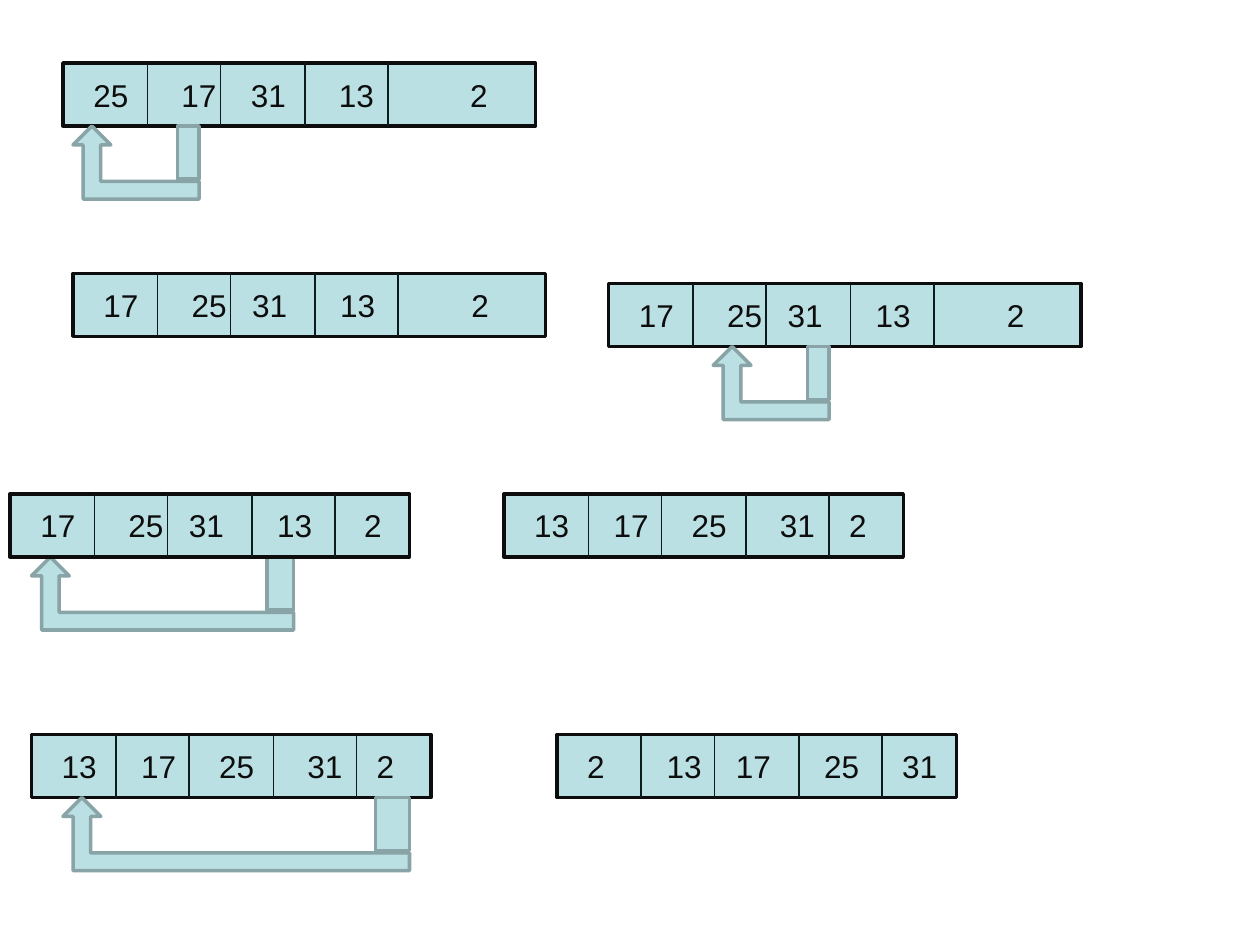
from lxml.etree import SubElement
from pptx import Presentation
from pptx.dml.color import RGBColor
from pptx.enum.shapes import MSO_CONNECTOR, MSO_SHAPE
from pptx.enum.text import MSO_ANCHOR, PP_ALIGN
from pptx.oxml.ns import qn
from pptx.util import Inches, Pt

CELL_FILL = "BBE0E3"
BOX_LINE = "0D0D0D"
DIVIDER_LINE = "0C1C1D"
ARROW_LINE = "89A4A7"
ROW_HEIGHT = 0.5
DIVIDERS = (0.67, 1.25, 1.92, 2.58)
WIDE, NARROW = 3.75, 3.17


def color(value):
    """Turn a hex string into a colour."""
    return RGBColor.from_string(value)


def style(shape, line):
    """Give a shape the common fill, a 2 pt line and no shadow."""
    shape.shadow.inherit = False
    shape.fill.solid()
    shape.fill.fore_color.rgb = color(CELL_FILL)
    shape.line.color.rgb = color(line)
    shape.line.width = Pt(2)


def add_rectangle(slide, left, top, width, height, line):
    """Add a filled rectangle."""
    shape = slide.shapes.add_shape(
        MSO_SHAPE.RECTANGLE, Inches(left), Inches(top), Inches(width), Inches(height))
    style(shape, line)
    return shape


def write_text(shape, text, size=18, font="Arial", ink=BOX_LINE, margin=0.24, tabs=()):
    """Write one left-aligned line of text with tab stops in a shape."""
    frame = shape.text_frame
    frame.word_wrap = True
    frame.vertical_anchor = MSO_ANCHOR.MIDDLE
    frame.margin_left = Inches(margin)
    paragraph = frame.paragraphs[0]
    paragraph.alignment = PP_ALIGN.LEFT
    tab_list = SubElement(paragraph._p.get_or_add_pPr(), qn("a:tabLst"))
    for position in tabs:
        SubElement(tab_list, qn("a:tab"), pos=str(Inches(position)), algn="l")
    paragraph.text = text
    paragraph.font.size = Pt(size)
    paragraph.font.name = font
    paragraph.font.color.rgb = color(ink)


def add_divider(slide, x, top):
    """Add a thin upright line between two cells."""
    line = slide.shapes.add_connector(
        MSO_CONNECTOR.STRAIGHT, Inches(x), Inches(top), Inches(x), Inches(top + ROW_HEIGHT))
    line.line.color.rgb = color(DIVIDER_LINE)
    line.line.width = Pt(1)
    SubElement(line._element.spPr, qn("a:effectLst"))


def add_array(slide, left, top, width, numbers, tabs):
    """Add an array of five numbers in divided cells."""
    box = add_rectangle(slide, left, top, width, ROW_HEIGHT, BOX_LINE)
    write_text(box, "\t".join(str(number) for number in numbers), tabs=tabs)
    for offset in DIVIDERS:
        add_divider(slide, left + offset, top)


def add_move(slide, tip, right, top, stub_width):
    """Add a bent arrow from a number back to its insertion place."""
    head, shaft = 0.15, 0.07
    inner, bottom = top + 0.44, top + 0.58
    points = [
        (right, inner), (tip + shaft, inner), (tip + shaft, top + head),
        (tip + head, top + head), (tip, top), (tip - head, top + head),
        (tip - shaft, top + head), (tip - shaft, bottom), (right, bottom)]
    corners = [(Inches(x), Inches(y)) for x, y in points]
    builder = slide.shapes.build_freeform(*corners[0])
    builder.add_line_segments(corners[1:], close=True)
    style(builder.convert_to_shape(), ARROW_LINE)
    add_rectangle(slide, right - stub_width, top, stub_width, 0.42, ARROW_LINE)


def main():
    """Build the insertion sort slide."""
    presentation = Presentation()
    presentation.slide_width = Inches(10)
    presentation.slide_height = Inches(7.5)
    slide = presentation.slides.add_slide(presentation.slide_layouts[6])

    second_tabs = (0.7, 1.18, 1.88, 2.92)
    fourth_tabs = (0.63, 1.25, 1.95, 2.5)
    second_pass = (17, 25, 31, 13, 2)
    fourth_pass = (13, 17, 25, 31, 2)

    add_array(slide, 0.5, 0.5, WIDE, (25, 17, 31, 13, 2), (0.7, 1.25, 1.95, 2.99))
    add_move(slide, 0.73, 1.58, 1, 0.17)
    add_array(slide, 0.58, 2.17, WIDE, second_pass, second_tabs)
    add_move(slide, 0.4, 2.33, 4.42, 0.21)
    add_array(slide, 4.83, 2.25, WIDE, second_pass, second_tabs)
    add_move(slide, 5.81, 6.58, 2.75, 0.17)
    add_array(slide, 0.08, 3.92, NARROW, second_pass, (0.7, 1.18, 1.88, 2.57))
    add_array(slide, 4, 3.92, NARROW, fourth_pass, fourth_tabs)
    add_array(slide, 0.25, 5.83, NARROW, fourth_pass, fourth_tabs)
    add_move(slide, 0.65, 3.25, 6.33, 0.27)
    add_array(slide, 4.42, 5.83, NARROW, (2, 13, 17, 25, 31), (0.63, 1.18, 1.88, 2.5))

    presentation.save("out.pptx")


if __name__ == "__main__":
    main()
